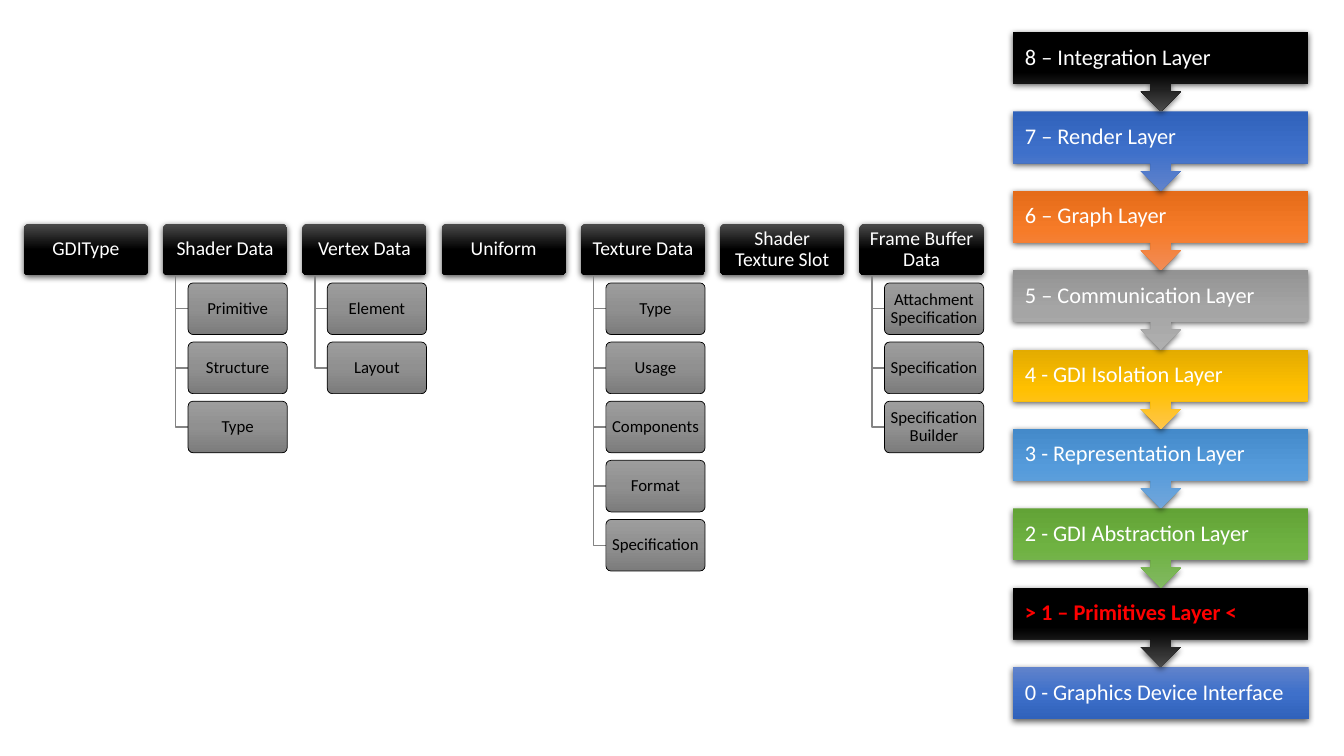
from copy import deepcopy
from dataclasses import dataclass

from lxml import etree
from pptx import Presentation
from pptx.dml.color import RGBColor
from pptx.enum.shapes import MSO_SHAPE
from pptx.enum.text import MSO_ANCHOR, PP_ALIGN
from pptx.oxml.ns import qn
from pptx.shapes.autoshape import Shape
from pptx.slide import Slide
from pptx.util import Cm, Pt

RECT = MSO_SHAPE.RECTANGLE
ROUNDED = MSO_SHAPE.ROUNDED_RECTANGLE
CALLOUT = MSO_SHAPE.DOWN_ARROW_CALLOUT
MIDDLE = MSO_ANCHOR.MIDDLE
LEFT = PP_ALIGN.LEFT
CENTER = PP_ALIGN.CENTER

Gradient = tuple[str, str, str]


@dataclass(frozen=True)
class Theme:
    font: str = "Calibri"
    layer_size: int = 16
    head_size: int = 14
    child_size: int = 12
    white: str = "FFFFFF"
    black: str = "000000"
    red: str = "FF0000"
    elbow: str = "848484"
    dark: Gradient = ("4B4B4B", "000000", "000000")
    blue: Gradient = ("6183CB", "3E70CA", "3062BB")
    orange: Gradient = ("F18C57", "F67B28", "E56C19")
    silver: Gradient = ("AFAFAF", "A5A5A5", "939393")
    gold: Gradient = ("FFC64B", "FFC000", "E3AB00")
    sky: Gradient = ("71A6DB", "559BDB", "448ACA")
    green: Gradient = ("81B861", "6FB242", "62A336")
    gray: Gradient = ("9D9D9D", "909090", "7C7C7C")


@dataclass(frozen=True)
class Layer:
    text: str
    gradient: Gradient
    current: bool = False


@dataclass(frozen=True)
class Branch:
    head: str
    children: tuple[str, ...] = ()


THEME = Theme()

LAYERS = (
    Layer("8 – Integration Layer", THEME.dark),
    Layer("7 – Render Layer", THEME.blue),
    Layer("6 – Graph Layer", THEME.orange),
    Layer("5 – Communication Layer", THEME.silver),
    Layer("4 - GDI Isolation Layer", THEME.gold),
    Layer("3 - Representation Layer", THEME.sky),
    Layer("2 - GDI Abstraction Layer", THEME.green),
    Layer("> 1 – Primitives Layer <", THEME.dark, current=True),
    Layer("0 - Graphics Device Interface", THEME.blue),
)

BRANCHES = (
    Branch("GDIType"),
    Branch("Shader Data", ("Primitive", "Structure", "Type")),
    Branch("Vertex Data", ("Element", "Layout")),
    Branch("Uniform"),
    Branch("Texture Data", ("Type", "Usage", "Components", "Format", "Specification")),
    Branch("Shader Texture Slot"),
    Branch("Frame Buffer Data",
           ("Attachment Specification", "Specification", "Specification Builder")),
)

LAYER_LEFT, LAYER_TOP, LAYER_WIDTH = Cm(25.53), Cm(0.81), Cm(7.45)
LAYER_PITCH, LAYER_BOX = Cm(2), Cm(1.31)
TREE_LEFT, TREE_TOP = Cm(0.6), Cm(5.64)
COLUMN_PITCH, ROW_PITCH = Cm(3.51), Cm(1.49)
HEAD_WIDTH, CHILD_WIDTH, BOX_HEIGHT = Cm(3.13), Cm(2.5), Cm(1.3)
CHILD_INDENT, ELBOW_INDENT = Cm(0.63), Cm(0.32)


def fill_gradient(sp: Shape, colors: Gradient) -> None:
    sp.fill.gradient()
    sp.fill.gradient_angle = 270
    first = next(sp._element.spPr.iter(qn("a:gs")))
    first.addnext(deepcopy(first))
    for stop, position, color in zip(sp.fill.gradient_stops, (0, 0.5, 1), colors):
        stop.position = position
        stop.color.rgb = RGBColor.from_string(color)


def add_shadow(sp: Shape) -> None:
    effects = sp._element.spPr.find(qn("a:effectLst"))
    shadow = etree.SubElement(effects, qn("a:outerShdw"), blurRad=str(Pt(4.5)),
                              dist=str(Pt(1.5)), dir="5400000", algn="ctr", rotWithShape="0")
    color = etree.SubElement(shadow, qn("a:srgbClr"), val=THEME.black)
    etree.SubElement(color, qn("a:alpha"), val="63000")


def add_box(s: Slide, kind: MSO_SHAPE, left: int, top: int, width: int, height: int,
            gradient: Gradient, outlined: bool = False) -> Shape:
    sp = s.shapes.add_shape(kind, left, top, width, height)
    sp.shadow.inherit = False
    fill_gradient(sp, gradient)
    if outlined:
        sp.line.color.rgb = RGBColor.from_string(THEME.black)
        sp.line.width = Pt(0.5)
    else:
        sp.line.fill.background()
        add_shadow(sp)
    return sp


def set_text(sp: Shape, text: str, size: int, color: str, align: PP_ALIGN,
             inset_x: int, inset_y: int, bold: bool = False) -> None:
    tf = sp.text_frame
    tf.text = text
    tf.word_wrap = True
    tf.vertical_anchor = MIDDLE
    tf.margin_left = tf.margin_right = inset_x
    tf.margin_top = tf.margin_bottom = inset_y
    p = tf.paragraphs[0]
    p.alignment = align
    p.line_spacing = 0.9
    r = p.runs[0]
    r.font.name = THEME.font
    r.font.size = Pt(size)
    r.font.bold = bold
    r.font.color.rgb = RGBColor.from_string(color)


def add_layer(s: Slide, layer: Layer, row: int) -> None:
    top = LAYER_TOP + row * LAYER_PITCH
    if row == len(LAYERS) - 1:
        sp = add_box(s, RECT, LAYER_LEFT, top, LAYER_WIDTH, LAYER_BOX, layer.gradient)
    else:
        sp = add_box(s, CALLOUT, LAYER_LEFT, top, LAYER_WIDTH, LAYER_PITCH,
                     layer.gradient[::-1])
    color = THEME.red if layer.current else THEME.white
    set_text(sp, layer.text, THEME.layer_size, color, LEFT, Cm(0.3), Cm(0.3), layer.current)


def add_tree_box(s: Slide, text: str, left: int, top: int, is_head: bool) -> None:
    width = HEAD_WIDTH if is_head else CHILD_WIDTH
    gradient = THEME.dark if is_head else THEME.gray
    sp = add_box(s, ROUNDED, left, top, width, BOX_HEIGHT, gradient, outlined=not is_head)
    sp.adjustments[0] = 0.1
    size = THEME.head_size if is_head else THEME.child_size
    color = THEME.white if is_head else THEME.black
    set_text(sp, text, size, color, CENTER, Cm(0.07), Cm(0.05))


def add_elbow(s: Slide, x: int, y: int, end_x: int, end_y: int) -> None:
    builder = s.shapes.build_freeform(x, y)
    builder.add_line_segments([(x, end_y), (end_x, end_y)], close=False)
    sp = builder.convert_to_shape()
    sp.shadow.inherit = False
    sp.fill.background()
    sp.line.color.rgb = RGBColor.from_string(THEME.elbow)
    sp.line.width = Pt(1)


def add_branch(s: Slide, branch: Branch, column: int) -> None:
    left = TREE_LEFT + column * COLUMN_PITCH
    add_tree_box(s, branch.head, left, TREE_TOP, is_head=True)
    for row, child in enumerate(branch.children, start=1):
        top = TREE_TOP + row * ROW_PITCH
        add_elbow(s, left + ELBOW_INDENT, TREE_TOP + BOX_HEIGHT,
                  left + CHILD_INDENT, top + BOX_HEIGHT // 2)
        add_tree_box(s, child, left + CHILD_INDENT, top, is_head=False)


def main() -> None:
    prs = Presentation()
    prs.slide_width, prs.slide_height = Cm(33.87), Cm(19.05)
    s = prs.slides.add_slide(prs.slide_layouts[6])
    for row, layer in reversed(list(enumerate(LAYERS))):
        add_layer(s, layer, row)
    for column, branch in enumerate(BRANCHES):
        add_branch(s, branch, column)
    prs.save("out.pptx")


if __name__ == "__main__":
    main()
